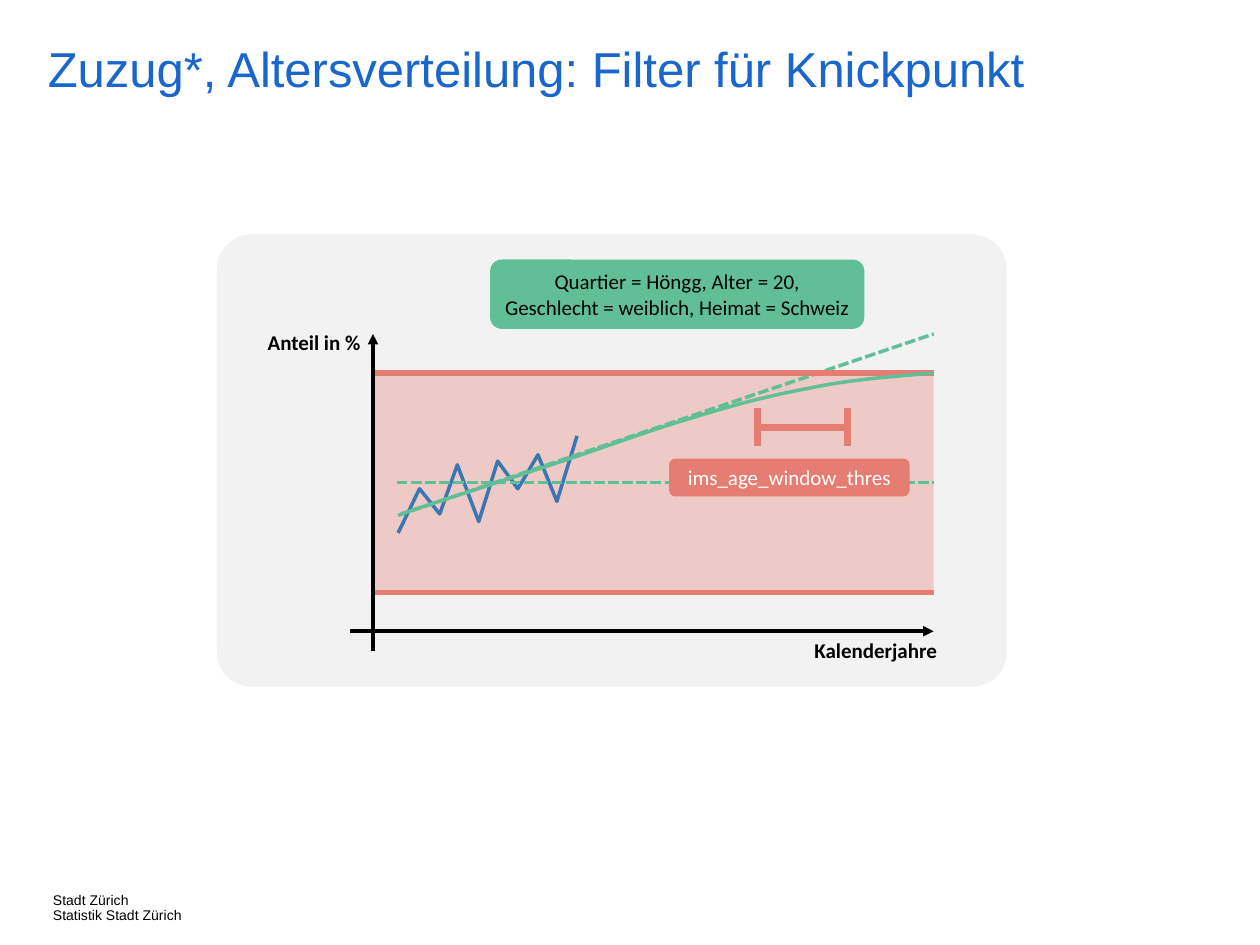
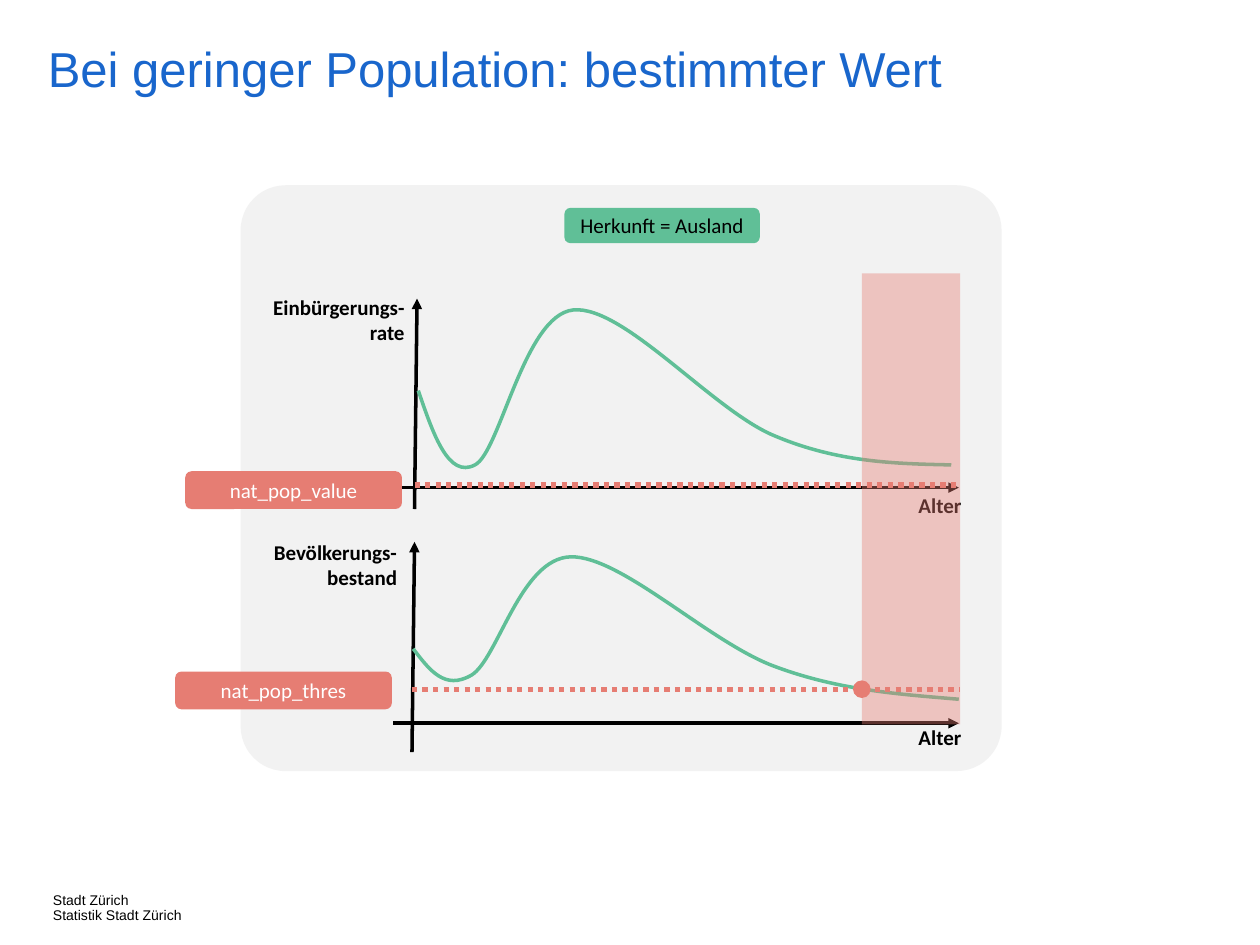
"""Build two slides on filters and thresholds in population forecasts."""
from lxml import etree
from pptx import Presentation
from pptx.dml.color import RGBColor
from pptx.enum.dml import MSO_LINE
from pptx.enum.shapes import MSO_CONNECTOR, MSO_SHAPE
from pptx.enum.text import MSO_ANCHOR, MSO_AUTO_SIZE, PP_ALIGN
from pptx.oxml.ns import qn
from pptx.util import Inches, Pt

RECT, ROUNDED, OVAL = MSO_SHAPE.RECTANGLE, MSO_SHAPE.ROUNDED_RECTANGLE, MSO_SHAPE.OVAL
STRAIGHT = MSO_CONNECTOR.STRAIGHT
DASHED, DOTTED = MSO_LINE.SQUARE_DOT, MSO_LINE.ROUND_DOT
LEFT, CENTER, RIGHT = PP_ALIGN.LEFT, PP_ALIGN.CENTER, PP_ALIGN.RIGHT
TOP, MIDDLE = MSO_ANCHOR.TOP, MSO_ANCHOR.MIDDLE
FIXED, GROW = MSO_AUTO_SIZE.NONE, MSO_AUTO_SIZE.SHAPE_TO_FIT_TEXT

COLORS = {"title": "1966CC", "panel": "F2F2F2", "limit": "E67D73", "model": "60BF97",
          "observed": "3B76B3", "black": "000000", "white": "FFFFFF"}
NO_INSETS = dict.fromkeys(("margin_left", "margin_top", "margin_right", "margin_bottom"), 0)
TITLE_FONT = {"name": "Arial", "size": Pt(28), "bold": False}
FOOTER_FONT = {"name": "Arial", "size": Pt(8)}
LABEL_FONT = {"name": "Calibri", "size": Pt(12), "bold": True}
TAG_FONT = {"name": "Calibri", "size": Pt(12)}


def rgb(color):
    """Return the named colour."""
    return RGBColor.from_string(COLORS[color])


def apply(target, values):
    """Set each attribute in values on the target."""
    for attribute, value in values.items():
        setattr(target, attribute, value)


def write(shape, text, font, color, frame, paragraph):
    """Fill a shape with formatted text."""
    apply(shape.text_frame, frame)
    shape.text_frame.text = text
    for line in shape.text_frame.paragraphs:
        apply(line, paragraph)
        apply(line.font, font)
        line.font.color.rgb = rgb(color)


def add_block(slide, kind, box, color, alpha=None, corner=None):
    """Add a filled shape without outline."""
    block = slide.shapes.add_shape(kind, *map(Inches, box))
    block.shadow.inherit = False
    block.fill.solid()
    block.fill.fore_color.rgb = rgb(color)
    block.line.fill.background()
    if corner is not None:
        block.adjustments[0] = corner
    if alpha is not None:
        fill = block.fill.fore_color._xFill.find(qn("a:srgbClr"))
        etree.SubElement(fill, qn("a:alpha"), val=str(alpha * 1000))
    return block


def add_tag(slide, box, text, color, text_color):
    """Add a rounded tag with centred text."""
    tag = add_block(slide, ROUNDED, box, color)
    write(tag, text, TAG_FONT, text_color,
          {**NO_INSETS, "word_wrap": False, "vertical_anchor": MIDDLE}, {"alignment": CENTER})


def add_label(slide, box, text, align):
    """Add a bold axis label."""
    label = slide.shapes.add_textbox(*map(Inches, box))
    write(label, text, LABEL_FONT, "black",
          {"word_wrap": True, "auto_size": GROW}, {"alignment": align})


def add_line(slide, start, end, color, width, dash=None):
    """Add a straight line between two points."""
    line = slide.shapes.add_connector(STRAIGHT, *map(Inches, (*start, *end)))
    line.line.color.rgb = rgb(color)
    line.line.width = Pt(width)
    if dash is not None:
        line.line.dash_style = dash
    etree.SubElement(line._element.spPr, qn("a:effectLst"))
    return line


def add_axis(slide, start, end):
    """Add a black axis with an arrowhead at its end."""
    axis = add_line(slide, start, end, "black", 2)
    etree.SubElement(axis.line._get_or_add_ln(), qn("a:tailEnd"), type="triangle")


def add_path(slide, points, color):
    """Add an open outline through the points."""
    start, *rest = [tuple(map(Inches, point)) for point in points]
    builder = slide.shapes.build_freeform(*start)
    builder.add_line_segments(rest, close=False)
    outline = builder.convert_to_shape()
    outline.shadow.inherit = False
    outline.fill.background()
    outline.line.color.rgb = rgb(color)
    outline.line.width = Pt(2)
    return outline


def add_curve(slide, points, color):
    """Add a Bézier curve from a start point and triples of points."""
    curve = add_path(slide, points, color)
    path = next(curve._element.iter(qn("a:path")))
    segments = path.findall(qn("a:lnTo"))
    for first in range(0, len(segments), 3):
        bezier = etree.SubElement(path, qn("a:cubicBezTo"))
        for segment in segments[first:first + 3]:
            bezier.append(segment[0])
            path.remove(segment)


def add_slide(prs, title, title_width, panel):
    """Add a slide with footer, title and grey panel."""
    slide = prs.slides.add_slide(prs.slide_layouts[5])
    heading = slide.shapes.title
    apply(heading, {"left": Inches(0.38), "top": Inches(0.36),
                    "width": Inches(title_width), "height": Inches(0.64)})
    footer = slide.shapes.add_textbox(*map(Inches, (0.42, 7.09, 1.31, 0.2)))
    spacing = {"alignment": LEFT, "line_spacing": 0.9}
    frame = {**NO_INSETS, "vertical_anchor": TOP, "auto_size": FIXED}
    write(heading, title, TITLE_FONT, "title", {**frame, "word_wrap": True}, spacing)
    write(footer, "Stadt Zürich\nStatistik Stadt Zürich", FOOTER_FONT, "black",
          {**frame, "word_wrap": False}, spacing)
    add_block(slide, ROUNDED, panel, "panel", corner=0.077)
    return slide


def build_trend_filter(prs):
    """Build the slide on limiting the trend of the age distribution."""
    slide = add_slide(prs, "Zuzug*, Altersverteilung: Filter für Knickpunkt", 9.27,
                      (1.72, 1.86, 6.27, 3.59))
    axis_x, end_x = 2.96, 7.41
    upper, lower = 2.96, 4.7
    add_block(slide, RECT, (axis_x, upper, end_x - axis_x, lower - upper), "limit", alpha=34)
    add_axis(slide, (2.78, 5.01), (end_x, 5.01))
    add_label(slide, (6.33, 5.01, 1.24, 0.3), "Kalenderjahre", CENTER)
    add_label(slide, (1.72, 2.57, 1.24, 0.3), "Anteil in %", RIGHT)
    add_path(slide, [(3.16, 4.23), (3.33, 3.88), (3.49, 4.08), (3.63, 3.69), (3.8, 4.14),
                     (3.95, 3.66), (4.11, 3.88), (4.27, 3.61), (4.42, 3.98), (4.58, 3.46)],
             "observed")
    add_line(slide, (3.15, 3.83), (end_x, 3.83), "model", 2, DASHED)
    add_line(slide, (3.16, 4.09), (end_x, 2.65), "model", 2, DASHED)
    for limit in (lower, upper):
        add_line(slide, (axis_x, limit), (end_x, limit), "limit", 3)
    add_axis(slide, (axis_x, 5.17), (axis_x, 2.65))

    window_start, window_end, window_y = 6.01, 6.73, 3.39
    add_line(slide, (window_start, window_y), (window_end, window_y), "limit", 4)
    for edge in (window_start, window_end):
        add_line(slide, (edge, 3.24), (edge, 3.54), "limit", 4)

    add_curve(slide, [(3.18, 4.08), (3.57, 3.95), (3.95, 3.83), (4.34, 3.7),
                      (4.72, 3.58), (5.11, 3.43), (5.45, 3.33),
                      (5.8, 3.22), (6.1, 3.14), (6.43, 3.08),
                      (6.76, 3.01), (7.08, 2.99), (7.41, 2.96)], "model")
    add_tag(slide, (5.31, 3.64, 1.91, 0.3), "ims_age_window_thres", "limit", "white")
    add_tag(slide, (3.89, 2.06, 2.97, 0.55),
            "Quartier = Höngg, Alter = 20,\vGeschlecht = weiblich, Heimat = Schweiz",
            "model", "black")


def build_small_population(prs):
    """Build the slide on the fixed value for small populations."""
    slide = add_slide(prs, "Bei geringer Population: bestimmter Wert", 8.4,
                      (1.91, 1.47, 6.04, 4.65))
    for axis_y, label_y in ((3.87, 3.86), (5.74, 5.7)):
        add_axis(slide, (3.12, axis_y), (7.61, axis_y))
        add_label(slide, (6.84, label_y, 1.24, 0.3), "Alter", CENTER)
    add_axis(slide, (3.29, 4.04), (3.31, 2.37))
    add_axis(slide, (3.27, 5.97), (3.29, 4.3))
    add_label(slide, (1.91, 2.29, 1.4, 0.5), "Einbürgerungs-rate", RIGHT)
    add_label(slide, (2.01, 4.23, 1.24, 0.5), "Bevölkerungs-bestand", RIGHT)
    population = [(3.28, 5.15), (3.41, 5.32), (3.53, 5.48), (3.74, 5.36),
                  (3.95, 5.24), (4.13, 4.43), (4.53, 4.42),
                  (4.93, 4.41), (5.63, 5.1), (6.15, 5.29),
                  (6.66, 5.48), (7.14, 5.51), (7.61, 5.55)]
    naturalisation = [(3.32, 3.1), (3.44, 3.45), (3.56, 3.8), (3.77, 3.69),
                      (3.97, 3.59), (4.16, 2.5), (4.55, 2.46),
                      (4.95, 2.42), (5.66, 3.26), (6.15, 3.46),
                      (6.65, 3.67), (7.1, 3.68), (7.55, 3.69)]
    for course in (population, naturalisation):
        add_curve(slide, course, "model")

    add_line(slide, (3.27, 5.47), (7.62, 5.47), "limit", 3, DOTTED)
    add_tag(slide, (1.39, 5.33, 1.72, 0.3), "nat_pop_thres", "limit", "white")
    add_block(slide, RECT, (6.84, 2.17, 0.78, 3.58), "limit", alpha=40)
    add_line(slide, (3.29, 3.85), (7.62, 3.85), "limit", 3, DOTTED)
    add_tag(slide, (1.47, 3.74, 1.72, 0.3), "nat_pop_value", "limit", "white")
    add_tag(slide, (4.48, 1.65, 1.55, 0.28), "Herkunft = Ausland", "model", "black")
    add_block(slide, OVAL, (6.77, 5.4, 0.14, 0.14), "limit")


def main():
    """Create and save the presentation."""
    prs = Presentation()
    prs.slide_width, prs.slide_height = Inches(10), Inches(7.5)
    build_trend_filter(prs)
    build_small_population(prs)
    prs.save("out.pptx")


if __name__ == "__main__":
    main()
